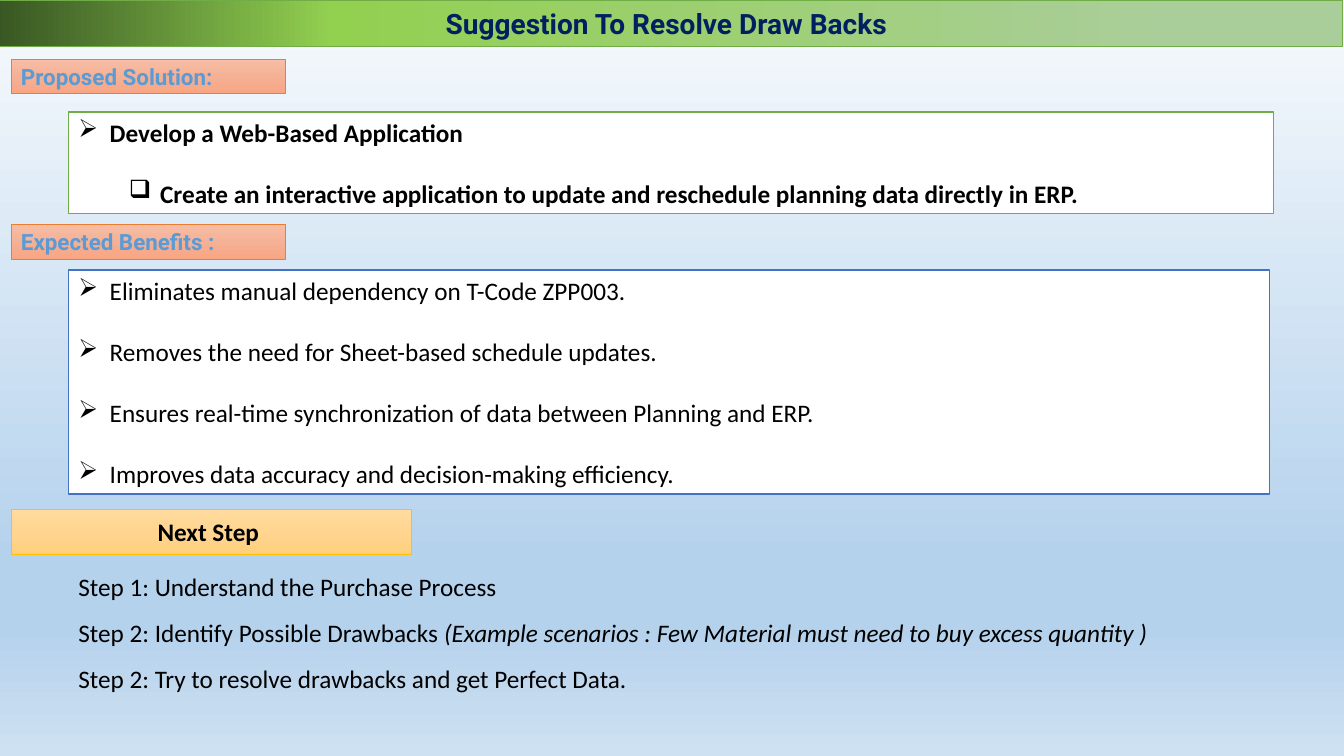
from lxml.etree import SubElement
from pptx import Presentation
from pptx.dml.color import RGBColor
from pptx.enum.shapes import MSO_SHAPE as Preset
from pptx.enum.text import MSO_ANCHOR as Anchor, MSO_AUTO_SIZE as AutoSize, PP_ALIGN as Align
from pptx.oxml.ns import qn
from pptx.util import Inches, Pt

BACKGROUND = [(0, "F7FAFD"), (74, "B5D2EC"), (83, "B5D2EC"), (100, "CEE1F2")]
GREEN = [(13, "AACE9A"), (75, "92D050"), (100, "385723")]
ORANGE = [(0, "F7BDA5"), (50, "F5B196"), (100, "F8A582")]
GOLD = [(0, "FFDB9E"), (50, "FFD590"), (100, "FFD07C")]

TITLE_STYLE = {"size": 20, "name": "Roboto", "color": "002060", "bold": True}
LABEL_STYLE = {"size": 16, "name": "Roboto", "color": "5B9BD5", "bold": True}
BODY_STYLE = {"size": 18, "name": "Calibri", "color": "000000"}
BOLD_STYLE = {**BODY_STYLE, "bold": True}
ITALIC_STYLE = {**BODY_STYLE, "italic": True}

BANNERS = [
    ("Suggestion To Resolve Draw Backs ", (-0.02, 0, 13.33, 0.46), GREEN, 180, "70AD47", TITLE_STYLE, Align.CENTER),
    ("Proposed Solution:", (0.11, 0.59, 2.72, 0.34), ORANGE, 90, "ED7D31", LABEL_STYLE, Align.LEFT),
    ("Expected Benefits :", (0.11, 2.23, 2.72, 0.34), ORANGE, 90, "ED7D31", LABEL_STYLE, Align.LEFT),
    ("Next Step ", (0.11, 5.05, 3.97, 0.45), GOLD, 90, "FFC000", BOLD_STYLE, Align.CENTER),
]
SOLUTION = [
    (0, "➢", "Develop a Web-Based Application"),
    (1, "❑", "Create an interactive application to update and reschedule planning data directly in ERP."),
]
BENEFITS = [
    (0, "➢", "Eliminates manual dependency on T-Code ZPP003."),
    (0, "➢", "Removes the need for Sheet-based schedule updates."),
    (0, "➢", "Ensures real-time synchronization of data between Planning and ERP."),
    (0, "➢", "Improves data accuracy and decision-making efficiency."),
]
PANELS = [
    (SOLUTION, (0.68, 1.11, 11.95, 1.01), "70AD47", BOLD_STYLE),
    (BENEFITS, (0.68, 2.68, 11.91, 2.22), "4472C4", BODY_STYLE),
]
STEPS = [
    (4.4, [("Step 1: Understand the Purchase Process", BODY_STYLE)]),
    (10.87, [
        ("Step 2: Identify Possible Drawbacks ", BODY_STYLE),
        ("(Example scenarios : Few Material must need to buy excess quantity )", ITALIC_STYLE),
    ]),
    (5.7, [("Step 2: Try to resolve drawbacks and get Perfect Data.", BODY_STYLE)]),
]
STEP_LEFT, STEP_TOP, STEP_PITCH, STEP_HEIGHT = 0.68, 5.62, 0.455, 0.4
BULLET_INDENT, LEVEL_INDENT = 0.31, 0.5
BULLET_GAP = 22


def rgb(color):
    return RGBColor.from_string(color)


def set_gradient(fill, element, stops, angle):
    fill.gradient()
    fill.gradient_angle = 360 - angle
    stop_list = next(element.iter(qn("a:gsLst")))
    for stop in list(stop_list):
        stop_list.remove(stop)
    for position, color in stops:
        stop = SubElement(stop_list, qn("a:gs"), pos=str(position * 1000))
        SubElement(stop, qn("a:srgbClr"), val=color)


def add_run(paragraph, text, style):
    run = paragraph.add_run()
    run.text = text
    font = run.font
    font.size = Pt(style["size"])
    font.name = style["name"]
    font.color.rgb = rgb(style["color"])
    font.bold = style.get("bold", False)
    font.italic = style.get("italic", False)


def add_box(slide, place, line_color, line_width):
    shape = slide.shapes.add_shape(Preset.RECTANGLE, *map(Inches, place))
    shape.shadow.inherit = False
    shape.line.color.rgb = rgb(line_color)
    shape.line.width = Pt(line_width)
    shape.text_frame.word_wrap = True
    return shape


def add_banner(slide, text, place, stops, angle, line_color, style, alignment):
    shape = add_box(slide, place, line_color, 0.5)
    set_gradient(shape.fill, shape.element, stops, angle)
    shape.text_frame.vertical_anchor = Anchor.MIDDLE
    paragraph = shape.text_frame.paragraphs[0]
    paragraph.alignment = alignment
    add_run(paragraph, text, style)


def add_panel(slide, items, place, line_color, style):
    shape = add_box(slide, place, line_color, 1)
    shape.fill.solid()
    shape.fill.fore_color.rgb = rgb("FFFFFF")
    frame = shape.text_frame
    frame.vertical_anchor = Anchor.TOP
    frame.auto_size = AutoSize.SHAPE_TO_FIT_TEXT
    for index, (level, bullet, text) in enumerate(items):
        paragraph = frame.add_paragraph() if index else frame.paragraphs[0]
        paragraph.alignment = Align.LEFT
        paragraph.level = level
        if index:
            paragraph.space_before = Pt(BULLET_GAP)
        properties = paragraph._p.get_or_add_pPr()
        properties.set("marL", str(Inches(BULLET_INDENT + level * LEVEL_INDENT)))
        properties.set("indent", str(-Inches(BULLET_INDENT)))
        SubElement(properties, qn("a:buChar"), char=bullet)
        add_run(paragraph, text, style)


def add_step(slide, index, width, runs):
    top = STEP_TOP + index * STEP_PITCH
    place = (STEP_LEFT, top, width, STEP_HEIGHT)
    frame = slide.shapes.add_textbox(*map(Inches, place)).text_frame
    frame.word_wrap = False
    frame.auto_size = AutoSize.SHAPE_TO_FIT_TEXT
    for text, style in runs:
        add_run(frame.paragraphs[0], text, style)


def main():
    presentation = Presentation()
    presentation.slide_width = Inches(13.33)
    presentation.slide_height = Inches(7.5)
    slide = presentation.slides.add_slide(presentation.slide_layouts[6])
    set_gradient(slide.background.fill, slide.element, BACKGROUND, 90)
    for banner in BANNERS:
        add_banner(slide, *banner)
    for panel in PANELS:
        add_panel(slide, *panel)
    for index, (width, runs) in enumerate(STEPS):
        add_step(slide, index, width, runs)
    presentation.save("out.pptx")


if __name__ == "__main__":
    main()
